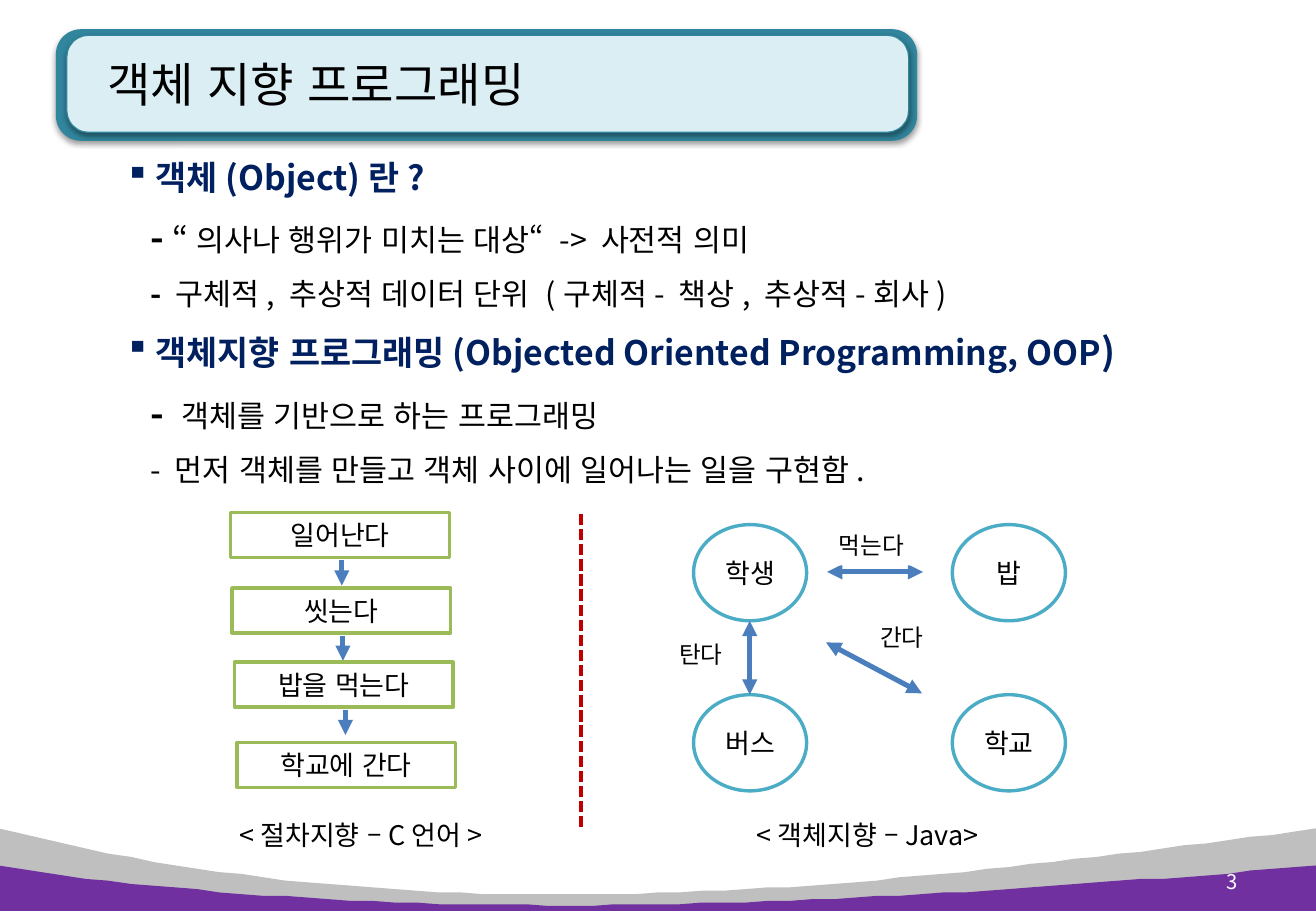
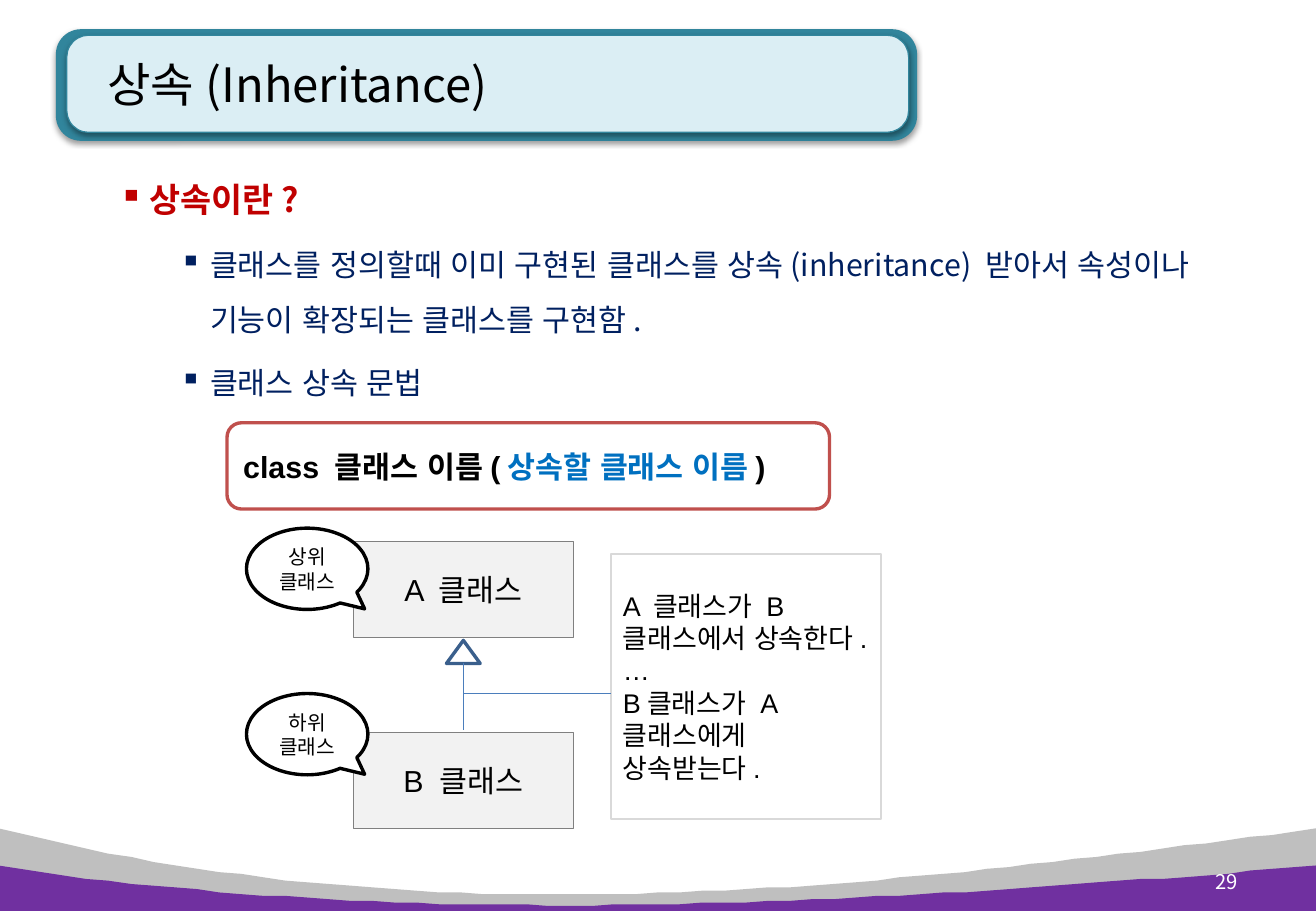
from lxml import etree
from pptx import Presentation
from pptx.dml.color import RGBColor
from pptx.enum import dml, lang, shapes, text
from pptx.oxml import ns
from pptx.util import Pt

WIDE, HIGH = 780, 540
SANS, ARIAL = "Noto Sans CJK KR", "Arial"

BLACK = RGBColor(0, 0, 0)
WHITE = RGBColor(255, 255, 255)
NAVY = RGBColor(0x00, 0x20, 0x60)
RED = RGBColor(0xC0, 0x00, 0x00)
SKY = RGBColor(0x00, 0x70, 0xC0)
TEAL = RGBColor(0x31, 0x85, 0x9C)
PALE = RGBColor(0xDB, 0xEE, 0xF4)
PURPLE = RGBColor(0x70, 0x30, 0xA0)
SILVER = RGBColor(0xBF, 0xBF, 0xBF)
MIST = RGBColor(0xF2, 0xF2, 0xF2)
GREY = RGBColor(0x80, 0x80, 0x80)
LIGHT = RGBColor(0xD9, 0xD9, 0xD9)
GREEN = RGBColor(0x9B, 0xBB, 0x59)
AQUA = RGBColor(0x4B, 0xAC, 0xC6)
BLUE = RGBColor(0x4B, 0x7E, 0xBC)
STEEL = RGBColor(0x3A, 0x5F, 0x8C)
BRICK = RGBColor(0xC0, 0x50, 0x4D)

KIND = shapes.MSO_SHAPE
LEFT, MID, RIGHT = text.PP_ALIGN.LEFT, text.PP_ALIGN.CENTER, text.PP_ALIGN.RIGHT
TOP, CORE = text.MSO_ANCHOR.TOP, text.MSO_ANCHOR.MIDDLE


# Shared helpers
def assign(item, **values):
    for name, value in values.items():
        setattr(item, name, value)


def node(parent, tag, **values):
    return etree.SubElement(parent, ns.qn(tag), values)


def write(shape, lines, size=16, font=SANS, align=MID, anchor=CORE, pad=7.2):
    """Each line is a text or a pair: runs (text, format) and paragraph format."""
    frame = shape.text_frame
    assign(frame, word_wrap=True, vertical_anchor=anchor, margin_left=Pt(pad))
    for i, line in enumerate(lines):
        runs, form = ([(line, {})], {}) if isinstance(line, str) else line
        para = frame.paragraphs[0] if i == 0 else frame.add_paragraph()
        assign(para, alignment=align, space_before=Pt(form.get("before", 0)),
               line_spacing=form.get("space", 1.0))
        props = para._p.get_or_add_pPr()
        props.set("marL", str(Pt(form.get("left", 0))))
        props.set("indent", str(Pt(form.get("hang", 0))))
        if "mark" in form:
            node(props, "a:buChar", char=form["mark"])
        else:
            node(props, "a:buNone")
        for words, look in runs:
            run = para.add_run()
            run.text = words
            run.font.color.rgb = look.get("color", BLACK)
            assign(run.font, size=Pt(look.get("size", size)), name=font,
                   bold=look.get("bold", False),
                   language_id=lang.MSO_LANGUAGE_ID.KOREAN)
            node(run._r.get_or_add_rPr(), "a:ea", typeface=SANS)


def label(slide, box, lines, **form):
    write(slide.shapes.add_textbox(*map(Pt, box)), lines, **form)


def paint(shape, fill=None, line=None, width=2):
    shape.shadow.inherit = False
    if fill is None:
        shape.fill.background()
    else:
        shape.fill.solid()
        shape.fill.fore_color.rgb = fill
    if line is None:
        shape.line.fill.background()
    else:
        shape.line.color.rgb = line
        shape.line.width = Pt(width)


def block(slide, kind, box, fill=WHITE, line=None, width=2, lines=(), **form):
    shape = slide.shapes.add_shape(kind, *map(Pt, box))
    paint(shape, fill, line, width)
    if lines:
        write(shape, lines, **form)
    return shape


def link(slide, ends, color=BLUE, width=3.0, dash=None, head=False, tail=False):
    line = slide.shapes.add_connector(shapes.MSO_CONNECTOR.STRAIGHT, *map(Pt, ends))
    line.line.color.rgb = color
    assign(line.line, width=Pt(width), dash_style=dash)
    edge = line.line._get_or_add_ln()
    for tag, wanted in (("a:headEnd", head), ("a:tailEnd", tail)):
        if wanted:
            node(edge, tag, type="triangle")
    node(line._element.spPr, "a:effectLst")


# Shared frame: waves, title plate, page number
def wave(slide, start, low, rise, color):
    """Fills below a cubic curve whose ends are at start."""
    xs, ys = (-1.4, 262.8, 518.4, WIDE), (start, low, rise, start)

    def bend(p, t):
        u = 1 - t
        return u**3 * p[0] + 3 * u * u * t * p[1] + 3 * u * t * t * p[2] + t**3 * p[3]

    dots = [(bend(xs, k / 60), bend(ys, k / 60)) for k in range(61)]
    path = slide.shapes.build_freeform(*dots[0], scale=Pt(1))
    path.add_line_segments(dots[1:] + [(WIDE, HIGH), (xs[0], HIGH)])
    paint(path.convert_to_shape(), color)


def plate(slide, box, title):
    x, y, w, h = box
    inner = (x + 6.5, y + 3.6, w - 11.5, h - 8.6)
    for part, fill, edge in ((box, TEAL, None), (inner, PALE, TEAL)):
        shape = block(slide, KIND.ROUNDED_RECTANGLE, part, fill, edge, 0.75)
        shape.adjustments[0] = 0.225
        glow = node(shape._element.spPr.find(ns.qn("a:effectLst")), "a:outerShdw",
                    blurRad=str(Pt(3.1)), dist=str(Pt(1.6)), dir="5400000",
                    rotWithShape="0")
        node(node(glow, "a:srgbClr", val="000000"), "a:alpha", val="38000")
    label(slide, (x + 16.6, y - 1.4, w - 22, h + 1.4), [title], size=28,
          align=LEFT, pad=14)


def start(deck, title, page):
    slide = deck.slides.add_slide(deck.slide_layouts[6])
    wave(slide, 491, 558, 526.3, SILVER)
    plate(slide, (33.1, 17.3, 510.5, 66.2), title)
    wave(slide, 513.4, 553, 534.2, PURPLE)
    label(slide, (697, 508.3, 43.9, 28.8), [page], size=12, align=RIGHT)
    for run in slide.shapes[-1].text_frame.paragraphs[0].runs:
        run.font.color.rgb = WHITE
    return slide


# Object slide
def points(slide, box):
    top = {"left": 18, "hang": -18, "before": 10, "mark": "▪"}
    sub = {"left": 15, "before": 10}
    head = {"size": 20, "color": NAVY, "bold": True}
    dash = ("- ", {"size": 22, "bold": True})
    label(slide, box, [
        ([("객체(Object)란?", head)], top),
        ([dash, ("“", {"size": 20}), ("의사나 행위가 미치는 대상“ -> 사전적 의미", {})], sub),
        ([("- ", {"bold": True}),
          ("구체적, 추상적 데이터 단위 (구체적- 책상, 추상적-회사)", {})], sub),
        ([("객체지향 프로그래밍(Objected Oriented Programming, OOP", head),
          (")", {**head, "size": 22})], top),
        ([dash, ("객체를 기반으로 하는 프로그래밍", {})], sub),
        ([("- 먼저 객체를 만들고 객체 사이에 일어나는 일을 구현함.", {})], sub),
    ], size=18, align=LEFT, anchor=TOP)


def flow(slide, x, y):
    w, h = 129.6, 26.7
    steps = [("일어난다", 0, 0), ("씻는다", 0.7, 44.6),
             ("밥을 먹는다", 2.2, 88.6), ("학교에 간다", 3.6, 136.2)]
    for i, (name, dx, dy) in enumerate(steps):
        block(slide, KIND.RECTANGLE, (x + dx, y + dy, w, h), line=GREEN, lines=[name])
        if i < len(steps) - 1:
            mid, low = x + dx + w / 2 + 1, y + dy + h + 1.5
            link(slide, (mid, low, mid, low + 15), tail=True)
    label(slide, (x - 2, y + 177.8, 164, 26.7), ["<절차지향 –C언어>"], align=LEFT)


def web(slide, x, y):
    w, h, across, down = 67, 57, 153.4, 100.8
    for i, name in enumerate(("학생", "밥", "버스", "학교")):
        row, col = divmod(i, 2)
        block(slide, KIND.OVAL, (x + col * across, y + row * down, w, h),
              line=AQUA, lines=[name])
    for ends in ((79.2, 28, 136, 28), (33.3, h, 33.3, down), (78.5, 69.8, 135.4, 100)):
        x1, y1, x2, y2 = ends
        link(slide, (x + x1, y + y1, x + x2, y + y2), head=True, tail=True)
    for name, dx, dy, wide in (("탄다", -18, 64.8, 44.6), ("먹는다", 77, 0, 56.9),
                               ("간다", 102.2, 54.7, 42.5)):
        block(slide, KIND.RECTANGLE, (x + dx, y + dy, wide, 24.2), lines=[name], size=14)
    label(slide, (x + 30.2, y + 170.7, 164, 26.7), ["<객체지향 –Java>"], align=LEFT)


# Inheritance slide
def notes(slide, box):
    sub = {"left": 54, "hang": -18, "before": 5, "space": 1.5, "mark": "▪"}
    top = {**sub, "left": 18, "before": 10}
    navy = {"color": NAVY}
    label(slide, box, [
        ([("상속이란?", {"size": 20, "color": RED, "bold": True})], top),
        ([("클래스를 정의할때 이미 구현된 클래스를 상속(inheritance) 받아서 "
           "속성이나 기능이 확장되는 클래스를 구현함.", navy)], sub),
        ([("클래스 상속 문법", navy)], sub),
    ], size=18, align=LEFT, anchor=TOP)


def syntax(slide, box):
    bold = {"bold": True}
    line = [("class 클래스 이름(", bold), ("상속할 클래스 이름", {**bold, "color": SKY}),
            (")", bold)]
    block(slide, KIND.ROUNDED_RECTANGLE, box, line=BRICK, lines=[(line, {})],
          size=18, font=ARIAL, align=LEFT)


def tree(slide, x, y):
    w, h, down = 130.3, 57, 113
    mid, bar = x + w / 2, y + 90
    for i, name in enumerate(("A 클래스", "B 클래스")):
        block(slide, KIND.RECTANGLE, (x, y + i * down, w, h), MIST, GREY, 0.75,
              [name], size=18, font=ARIAL)
    # Arrow from child to parent, with its remark
    block(slide, KIND.ISOSCELES_TRIANGLE, (mid - 10, y + 58.5, 20, 13.7), None, STEEL)
    link(slide, (mid, y + 72.2, mid, y + 111.6), width=1)
    block(slide, KIND.RECTANGLE, (x + 152.6, y + 7.2, 160, 157), line=LIGHT, width=1,
          lines=["A 클래스가 B클래스에서 상속한다.", "…", "B클래스가 A클래스에게 상속받는다."],
          font=ARIAL, align=LEFT)
    link(slide, (mid, bar, x + 152.6, bar), width=0.75)
    # Callouts
    for rank, dy in (("상위", -8), ("하위", 90)):
        bubble = block(slide, KIND.OVAL_CALLOUT, (x - 63.4, y + dy, 72, 48.2),
                       line=BLACK, lines=[rank, "클래스"], size=12)
        for i, value in enumerate((0.473, 0.493)):
            bubble.adjustments[i] = value


def main():
    deck = Presentation()
    assign(deck, slide_width=Pt(WIDE), slide_height=Pt(HIGH))

    slide = start(deck, "객체 지향 프로그래밍", "3")
    points(slide, (67, 89.3, 635, 204.5))
    flow(slide, 136.8, 303.9)
    link(slide, (344.2, 304.6, 344.2, 491), RED, 2.25, dml.MSO_LINE.SQUARE_DOT)
    web(slide, 411.1, 311)

    slide = start(deck, "상속(Inheritance)", "29")
    notes(slide, (63.4, 90.7, 678.2, 156.2))
    syntax(slide, (134.6, 250.6, 357.1, 51.1))
    tree(slide, 209.5, 321.1)

    deck.save("out.pptx")


if __name__ == "__main__":
    main()
